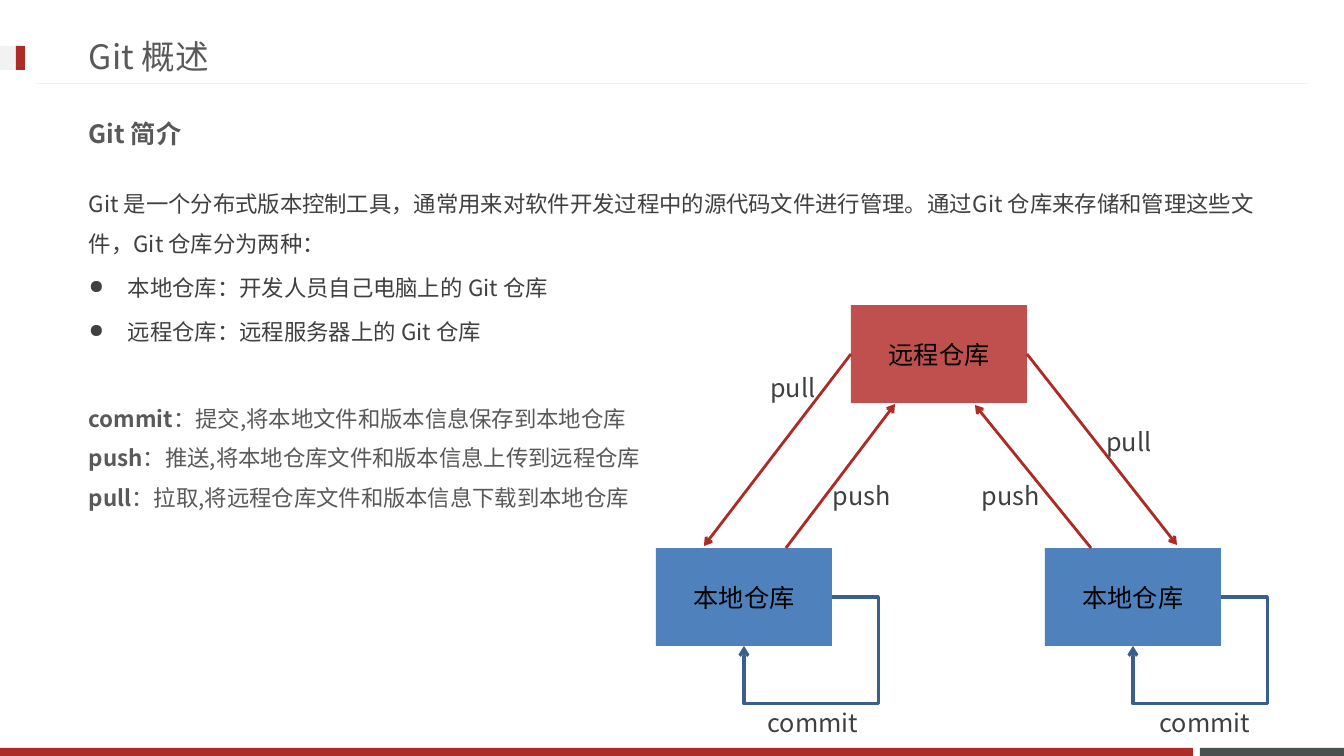
from lxml.etree import SubElement
from pptx import Presentation
from pptx.dml.color import RGBColor
from pptx.enum.shapes import MSO_CONNECTOR as LINK, MSO_SHAPE as SHAPE
from pptx.enum.text import MSO_ANCHOR as ANCHOR, PP_ALIGN as ALIGN
from pptx.oxml import parse_xml
from pptx.oxml.ns import nsdecls, qn
from pptx.util import Emu, Pt

WIDTH, HEIGHT = 1344, 756
EMU_PER_PX = 12192000 / WIDTH
TOP, LEFT, BOTTOM, RIGHT = range(4)


def px(length):
    return Emu(round(length * EMU_PER_PX))


def color(value):
    return RGBColor.from_string(value)


class Slide:
    font = "Noto Sans CJK JP"
    red, blue, dark_blue = "AD2B26", "4F81BD", "3A5F8C"
    gray, dark, pale = "595959", "404040", "F2F2F2"

    def __init__(self, page):
        self.page = page

    def style(self, para, size, ink, bold=None):
        para.font.size = Pt(size)
        para.font.name = self.font
        para.font.color.rgb = color(ink)
        para.font.bold = bold
        defaults = para._p.get_or_add_pPr().get_or_add_defRPr()
        SubElement(defaults, qn("a:ea"), typeface=self.font)

    def rect(self, left, top, width, height, fill, text=None):
        box = self.page.shapes.add_shape(
            SHAPE.RECTANGLE, px(left), px(top), px(width), px(height))
        box.shadow.inherit = False
        box.fill.solid()
        box.fill.fore_color.rgb = color(fill)
        box.line.fill.background()
        if text:
            para = box.text_frame.paragraphs[0]
            para.text = text
            para.alignment = ALIGN.CENTER
            self.style(para, 18, "000000")
        return box

    def frame(self, left, top, width, height, anchor=ANCHOR.MIDDLE):
        box = self.page.shapes.add_textbox(px(left), px(top), px(width), px(height))
        box.text_frame.word_wrap = True
        box.text_frame.vertical_anchor = anchor
        return box.text_frame

    def text(self, left, top, width, height, words, size, ink, bold=None,
             align=ALIGN.LEFT):
        para = self.frame(left, top, width, height).paragraphs[0]
        para.text = words
        para.alignment = align
        self.style(para, size, ink, bold)

    def label(self, left, top, words):
        self.text(left, top, 118, 30, words, 18, self.dark, align=ALIGN.CENTER)

    def line(self, start, end, ink, width, arrow=True, kind=LINK.STRAIGHT):
        link = self.page.shapes.add_connector(kind, *map(px, start + end))
        link.line.color.rgb = color(ink)
        link.line.width = Pt(width)
        if arrow:
            SubElement(link.line._get_or_add_ln(), qn("a:tailEnd"), type="arrow")
        SubElement(link._element.spPr, qn("a:effectLst"))
        return link

    def loop(self, box, start, end):
        link = self.line(start, end, self.dark_blue, 2.25, kind=LINK.ELBOW)
        link.begin_connect(box, RIGHT)
        link.end_connect(box, BOTTOM)
        geometry = link._element.spPr.find(qn("a:prstGeom"))
        geometry.set("prst", "bentConnector4")
        guides = geometry.find(qn("a:avLst"))
        for name, value in (("adj1", -52800), ("adj2", 218200)):
            SubElement(guides, qn("a:gd"), name=name, fmla=f"val {value}")

    def bullet(self, para):
        properties = para._p.get_or_add_pPr()
        properties.set("marL", str(px(39)))
        properties.set("indent", str(-px(39)))
        defaults = properties.get_or_add_defRPr()
        for mark in (
            f'<a:buClr {nsdecls("a")}><a:srgbClr val="{self.dark}"/></a:buClr>',
            f'<a:buSzPct {nsdecls("a")} val="85000"/>',
            f'<a:buChar {nsdecls("a")} char="●"/>',
        ):
            defaults.addprevious(parse_xml(mark))

    def body(self, left, top, width, height, intro, kinds, commands):
        frame = self.frame(left, top, width, height, ANCHOR.TOP)
        rows = [(None, words, self.dark, 3.2) for words in [intro] + kinds]
        rows += [(term, words, self.gray, 0 if index else 33)
                 for index, (term, words) in enumerate(commands)]
        for index, (term, words, ink, before) in enumerate(rows):
            para = frame.add_paragraph() if index else frame.paragraphs[0]
            para.line_spacing = Pt(28.5)
            para.space_before = Pt(before)
            self.style(para, 16, ink)
            if term:
                span = para.add_run()
                span.text = term
                span.font.bold = True
            para.add_run().text = words
            if words in kinds:
                self.bullet(para)


def main():
    deck = Presentation()
    deck.slide_width, deck.slide_height = px(WIDTH), px(HEIGHT)
    slide = Slide(deck.slides.add_slide(deck.slide_layouts[6]))

    slide.rect(1200, 748, 144, 8, "49504F")
    slide.rect(0, 748, 1193, 8, slide.red)
    slide.line((1308, 84), (36, 84), slide.pale, 0.75, arrow=False)
    slide.rect(0, 46, 25, 24, slide.pale)
    slide.rect(16, 46, 9, 24, slide.red)

    slide.text(79, 27, 967, 58, "Git 概述", 24, slide.gray)
    slide.text(79, 104, 1185, 58, "Git 简介", 18, slide.gray, bold=True)
    slide.body(
        79, 172, 1185, 353,
        "Git 是一个分布式版本控制工具，通常用来对软件开发过程中的源代码文件进行管理。"
        "通过Git 仓库来存储和管理这些文件，Git 仓库分为两种：",
        ["本地仓库：开发人员自己电脑上的 Git 仓库", "远程仓库：远程服务器上的 Git 仓库"],
        [("commit", "：提交,将本地文件和版本信息保存到本地仓库"),
         ("push", "：推送,将本地仓库文件和版本信息上传到远程仓库"),
         ("pull", "：拉取,将远程仓库文件和版本信息下载到本地仓库")])

    remote = slide.rect(851, 305, 176, 98, "C0504D", "远程仓库")
    for left in (656, 1045):
        local = slide.rect(left, 548, 176, 98, slide.blue, "本地仓库")
        slide.loop(local, (left + 176, 597), (left + 88, 646))

    for start, end, side in (
        ((851, 354), (704, 546), LEFT),
        ((1027, 354), (1177, 545), RIGHT),
        ((786, 548), (895, 404), None),
        ((1091, 548), (975, 405), None),
    ):
        arrow = slide.line(start, end, slide.red, 2)
        if side is not None:
            arrow.begin_connect(remote, side)

    for left, top, words in (
        (754, 707, "commit"), (1146, 707, "commit"),
        (803, 480, "push"), (952, 480, "push"),
        (1070, 426, "pull"), (734, 372, "pull"),
    ):
        slide.label(left, top, words)

    deck.save("out.pptx")


if __name__ == "__main__":
    main()
